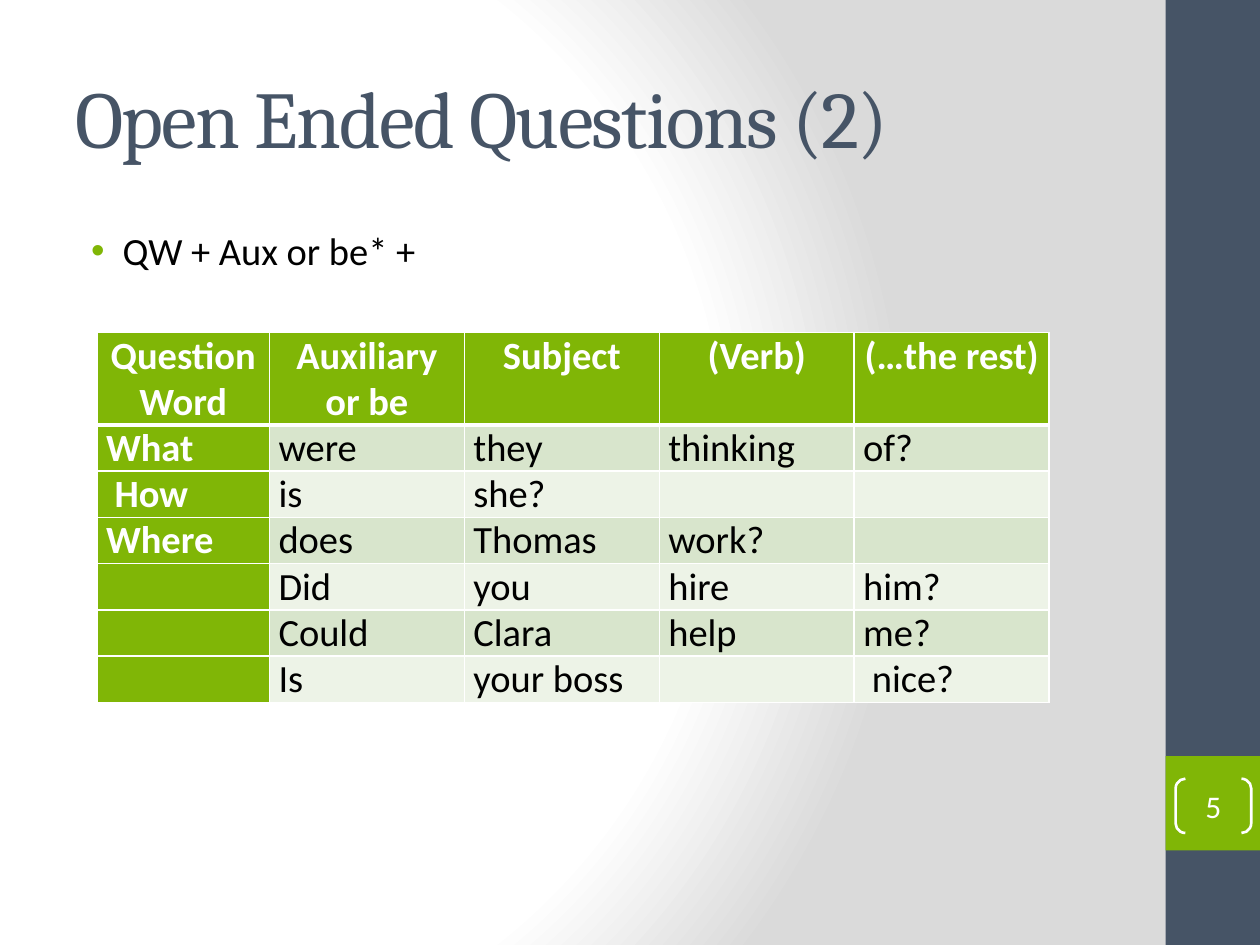
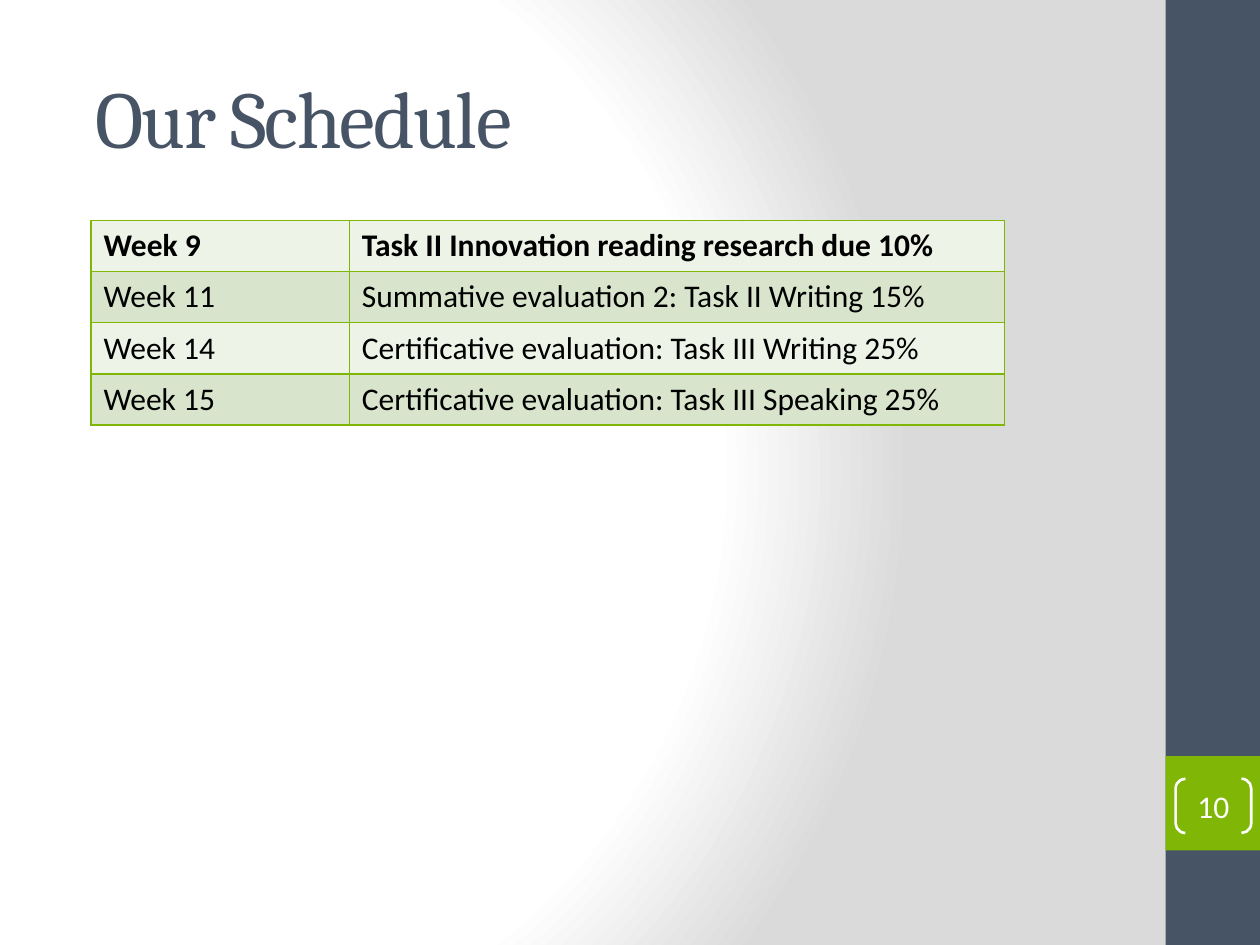
import pptx
import pptx.dml.color
import pptx.enum.shapes
import pptx.enum.text
import pptx.oxml
import pptx.oxml.ns
import pptx.util

Pt = pptx.util.Pt
Shape = pptx.enum.shapes.MSO_SHAPE
Align = pptx.enum.text.PP_ALIGN
Anchor = pptx.enum.text.MSO_ANCHOR

COLORS = {
    "slate": "465466", "green": "80B606", "white": "FFFFFF", "black": "000000",
    "gray": "DADADA", "band": "D8E5CC", "pale": "EDF3E7",
}
NAMESPACE = pptx.oxml.ns.nsdecls("a")


def rgb(name):
    return pptx.dml.color.RGBColor.from_string(COLORS[name])


class Deck:
    """Holds the shared style and the current slide."""

    heading_font = "Cambria"
    body_font = "Calibri"

    def __init__(self):
        self.deck = pptx.Presentation()
        self.deck.slide_width, self.deck.slide_height = Pt(720), Pt(540)
        self.page = None

    def start_page(self, title, number, title_indent=0):
        self.page = self.deck.slides.add_slide(self.deck.slide_layouts[6])
        self.background()
        self.shape(Shape.RECTANGLE, (666, 0, 54, 540), fill="slate")
        self.shape(Shape.RECTANGLE, (666, 432, 54, 54), fill="green")
        self.title(title, title_indent)
        self.page_number(number)

    def background(self):
        self.page.background.fill.gradient()
        stops = "".join(
            f'<a:gs pos="{position}000"><a:srgbClr val="{COLORS[color]}"/></a:gs>'
            for position, color in ((0, "white"), (75, "white"), (100, "gray")))
        gradient = pptx.oxml.parse_xml(
            f'<a:gradFill {NAMESPACE} rotWithShape="1"><a:gsLst>{stops}</a:gsLst>'
            '<a:path path="circle"><a:fillToRect l="20000" t="50000" r="100000" b="50000"/>'
            '</a:path></a:gradFill>')
        old = self.page._element.xpath(".//p:bgPr/a:gradFill")[0]
        old.getparent().replace(old, gradient)

    def shape(self, kind, place, fill=None, line=None):
        shape = self.page.shapes.add_shape(kind, *map(Pt, place))
        shape.shadow.inherit = False
        if fill:
            shape.fill.solid()
            shape.fill.fore_color.rgb = rgb(fill)
        else:
            shape.fill.background()
        if line:
            shape.line.color.rgb = rgb(line)
            shape.line.width = Pt(1.5)
        else:
            shape.line.fill.background()
        return shape

    def add_text(self, paragraph, text, size, color, bold=False, font=None, align=Align.LEFT):
        span = paragraph.add_run()
        span.text = text
        paragraph.alignment = align
        style = paragraph.font
        style.name, style.size, style.bold = font or self.body_font, Pt(size), bold
        style.color.rgb = rgb(color)
        return span

    def text_box(self, place, anchor=Anchor.TOP):
        box = self.page.shapes.add_textbox(*map(Pt, place))
        box.text_frame.word_wrap = True
        box.text_frame.vertical_anchor = anchor
        return box.text_frame.paragraphs[0]

    def title(self, text, indent):
        para = self.text_box((36, 21.6, 600, 90), Anchor.MIDDLE)
        para._p.get_or_add_pPr().set("marL", str(Pt(indent)))
        span = self.add_text(para, text, 46, "slate", font=self.heading_font)
        span._r.get_or_add_rPr().set("spc", "-100")

    def page_number(self, number):
        bracket = self.shape(Shape.DOUBLE_BRACKET, (671.8, 445, 43.2, 31), line="white")
        bracket.adjustments[0] = 0.18
        frame = bracket.text_frame
        frame.margin_left = frame.margin_right = frame.margin_top = frame.margin_bottom = 0
        frame.vertical_anchor = Anchor.MIDDLE
        self.add_text(frame.paragraphs[0], str(number), 18, "white", align=Align.CENTER)

    def bullet(self, text, place):
        para = self.text_box(place)
        properties = para._p.get_or_add_pPr()
        properties.set("marL", str(Pt(27)))
        properties.set("indent", str(Pt(-18)))
        for markup in (
                f'<a:buClr {NAMESPACE}><a:srgbClr val="{COLORS["green"]}"/></a:buClr>',
                f'<a:buFont {NAMESPACE} typeface="Arial"/>',
                f'<a:buChar {NAMESPACE} char="•"/>'):
            properties.append(pptx.oxml.parse_xml(markup))
        self.add_text(para, text, 22, "black")

    def table(self, left, top, widths, heights, rows, cell_style):
        """Build a table; cell_style(row, column) gives the options for draw_cell."""
        frame = self.page.shapes.add_table(
            len(rows), len(widths), Pt(left), Pt(top), Pt(sum(widths)), Pt(sum(heights)))
        table = frame.table
        table.first_row = table.horz_banding = False
        for column, width in zip(table.columns, widths):
            column.width = Pt(width)
        for row, height in zip(table.rows, heights):
            row.height = Pt(height)
        for r, texts in enumerate(rows):
            for c, text in enumerate(texts):
                self.draw_cell(table.cell(r, c), text, **cell_style(r, c))

    def draw_cell(self, cell, text, fill, border, size, color="black", bold=False,
                  align=Align.LEFT, anchor=Anchor.TOP, margins=(7.2, 3.6), top=1, bottom=1):
        cell.margin_left = cell.margin_right = Pt(margins[0])
        cell.margin_top = cell.margin_bottom = Pt(margins[1])
        cell.vertical_anchor = anchor
        cell.fill.solid()
        cell.fill.fore_color.rgb = rgb(fill)
        properties = cell._tc.get_or_add_tcPr()
        for index, (side, width) in enumerate(zip("LRTB", (1, 1, top, bottom))):
            properties.insert(index, pptx.oxml.parse_xml(
                f'<a:ln{side} {NAMESPACE} w="{Pt(width)}"><a:solidFill>'
                f'<a:srgbClr val="{COLORS[border]}"/></a:solidFill></a:ln{side}>'))
        if text:
            self.add_text(cell.text_frame.paragraphs[0], text, size, color, bold, align=align)


def question_cell(row, column):
    header = row == 0
    strong = header or column == 0
    return dict(
        fill="green" if strong else ("band" if row % 2 else "pale"),
        border="white", size=22, color="white" if strong else "black", bold=strong,
        align=Align.CENTER if header else Align.LEFT, margins=(5.2, 0),
        top=3 if row == 1 else 1, bottom=3 if header else 1)


def schedule_cell(row, column):
    return dict(fill="band" if row % 2 else "pale", border="green", size=18,
                bold=row == 0, anchor=Anchor.MIDDLE)


def main():
    deck = Deck()

    # Question pattern
    deck.start_page("Open Ended Questions (2)", 5)
    deck.bullet("QW + Aux or be* +", (36, 126, 600, 378))
    questions = [
        ("Question Word", "Auxiliary or be", "Subject", "(Verb)", "(…the rest)"),
        ("What", "were", "they", "thinking", "of?"),
        (" How", "is", "she?", "", ""),
        ("Where", "does", "Thomas", "work?", ""),
        ("", "Did", "you", "hire", "him?"),
        ("", "Could", "Clara", "help", "me?"),
        ("", "Is", "your boss", "", " nice?"),
    ]
    deck.table(55.4, 190, [98.6] + [111.4] * 4, [47.5] + [23.8] * 6,
               questions, question_cell)

    # Course schedule
    deck.start_page("Our Schedule", 10, title_indent=11.5)
    schedule = [
        ("Week 9", "Task II Innovation reading research due 10%"),
        ("Week 11", "Summative evaluation 2: Task II Writing 15%"),
        ("Week 14", "Certificative evaluation: Task III Writing 25%"),
        ("Week 15", "Certificative evaluation: Task III Speaking 25%"),
    ]
    deck.table(52, 126, [147.6, 374.4], [29.2] * 4, schedule, schedule_cell)

    deck.deck.save("out.pptx")


if __name__ == "__main__":
    main()
